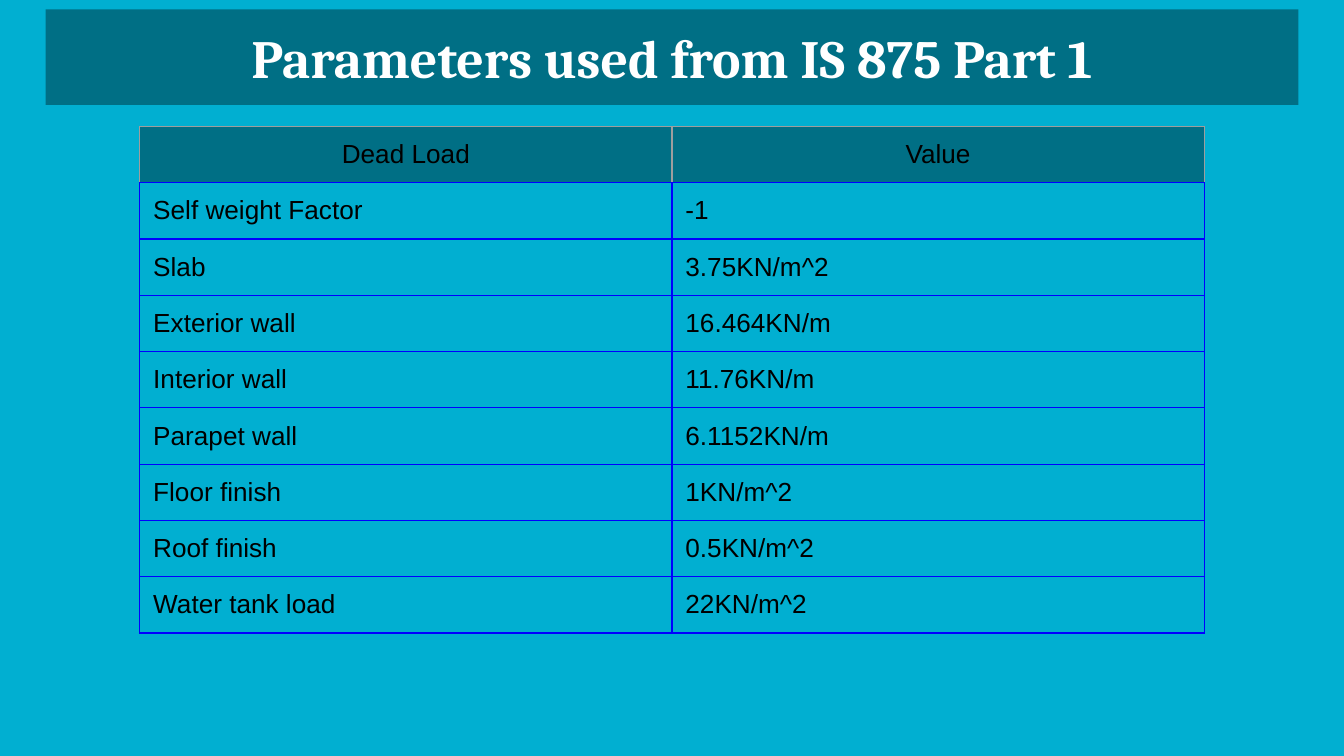
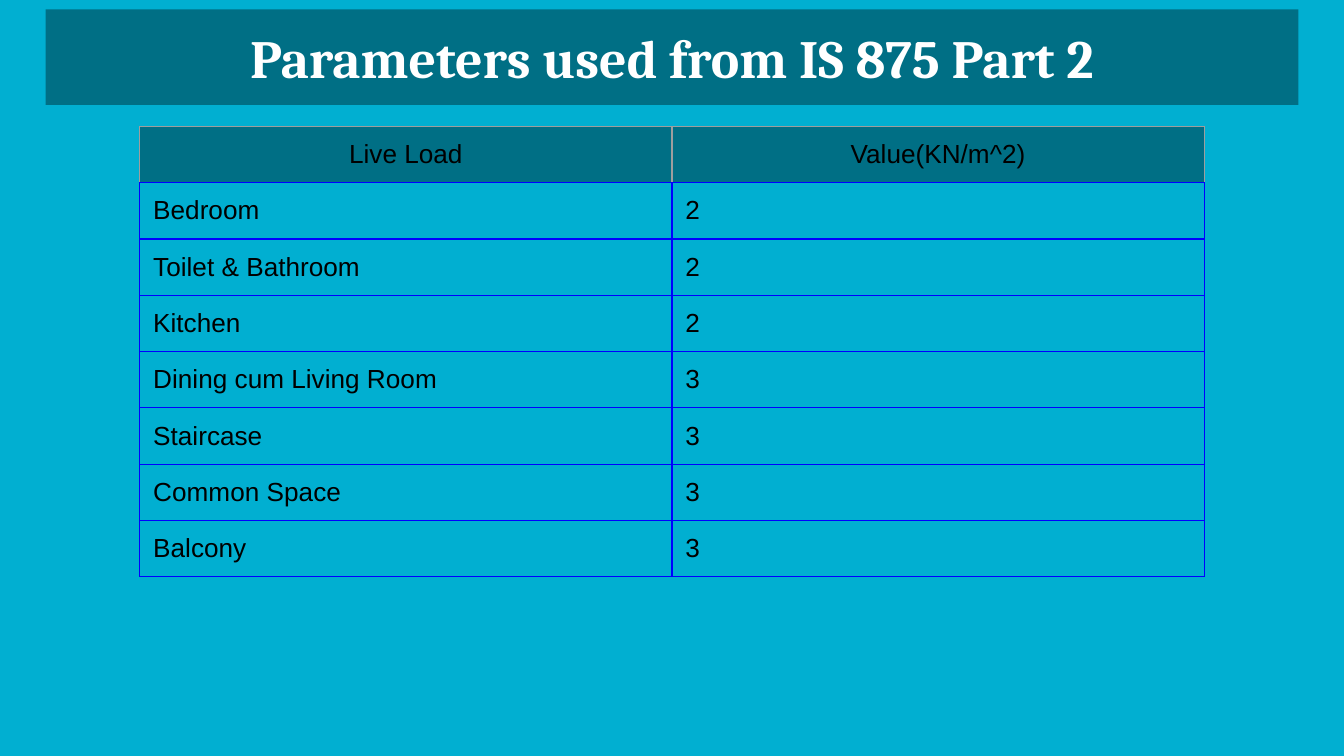
from lxml import etree
from pptx import Presentation
from pptx.dml.color import RGBColor
from pptx.enum.text import MSO_ANCHOR as ANCHOR, MSO_AUTO_SIZE as AUTO, PP_ALIGN as ALIGN
from pptx.oxml.ns import qn
from pptx.util import Inches, Pt

SLIDE_W = Inches(10)
SLIDE_H = SLIDE_W * 9 // 16
GRID = 100
TITLE_ONLY = 5

CYAN = RGBColor(0x01, 0xAF, 0xD1)
TEAL = RGBColor(0x00, 0x6F, 0x85)
WHITE = RGBColor(0xFF, 0xFF, 0xFF)
BLACK = RGBColor(0x00, 0x00, 0x00)
BLUE = RGBColor(0x00, 0x00, 0xFF)
GREY = RGBColor(0x9E, 0x9E, 0x9E)

TITLE_TOP, TITLE_W, TITLE_H = 0.7, 93.2, 7.1
TABLE_TOP, COLUMN_W, ROW_H = 9.4, 39.6, 4.17

DEAD_LOADS = [
    ("Dead Load", "Value"),
    ("Self weight Factor", "-1"),
    ("Slab", "3.75KN/m^2"),
    ("Exterior wall", "16.464KN/m"),
    ("Interior wall", "11.76KN/m"),
    ("Parapet wall", "6.1152KN/m"),
    ("Floor finish", "1KN/m^2"),
    ("Roof finish", "0.5KN/m^2"),
    ("Water tank load", "22KN/m^2"),
]
LIVE_LOADS = [
    ("Live Load", "Value(KN/m^2)"),
    ("Bedroom", "2"),
    ("Toilet & Bathroom", "2"),
    ("Kitchen", "2"),
    ("Dining cum Living Room", "3"),
    ("Staircase", "3"),
    ("Common Space", "3"),
    ("Balcony", "3"),
]


def grid(units):
    return round(SLIDE_W * units / GRID)


def centred(width):
    return grid((GRID - width) / 2)


def set_text(tf, text, *, font="Arial", size=14, color=BLACK, bold=False, align=ALIGN.LEFT):
    p = tf.paragraphs[0]
    p.alignment = align
    r = p.add_run()
    r.text = text
    r.font.name = font
    r.font.size = Pt(size)
    r.font.bold = bold
    r.font.color.rgb = color


def set_margins(box):
    box.margin_left = box.margin_right = box.margin_top = box.margin_bottom = Inches(0.1)


def add_title(slide, text):
    sp = slide.shapes.title
    sp.left, sp.top = centred(TITLE_W), grid(TITLE_TOP)
    sp.width, sp.height = grid(TITLE_W), grid(TITLE_H)
    sp.fill.solid()
    sp.fill.fore_color.rgb = TEAL
    tf = sp.text_frame
    tf.word_wrap = True
    tf.auto_size = AUTO.NONE
    tf.vertical_anchor = ANCHOR.MIDDLE
    set_margins(tf)
    set_text(tf, text, font="Cambria", size=28.8, color=WHITE, bold=True, align=ALIGN.CENTER)


def set_borders(cell, **colors):
    tc_pr = cell._tc.get_or_add_tcPr()
    for i, side in enumerate("LRTB"):
        ln = etree.Element(qn(f"a:ln{side}"), w=str(Pt(0.75)))
        fill = etree.SubElement(ln, qn("a:solidFill"))
        etree.SubElement(fill, qn("a:srgbClr"), val=str(colors.get(side, BLUE)))
        tc_pr.insert(i, ln)


def format_header(cell, text):
    cell.fill.solid()
    cell.fill.fore_color.rgb = TEAL
    set_borders(cell, L=GREY, R=GREY, T=GREY)
    set_text(cell.text_frame, text, align=ALIGN.CENTER)


def format_body(cell, text):
    cell.fill.background()
    set_borders(cell)
    set_text(cell.text_frame, text)


def add_load_table(slide, rows):
    n_rows, n_cols = len(rows), len(rows[0])
    width = n_cols * COLUMN_W
    table = slide.shapes.add_table(
        n_rows, n_cols, centred(width), grid(TABLE_TOP), grid(width), grid(n_rows * ROW_H)
    ).table
    table.first_row = table.horz_banding = False
    for i, row in enumerate(rows):
        for j, text in enumerate(row):
            cell = table.cell(i, j)
            set_margins(cell)
            format_cell = format_body if i else format_header
            format_cell(cell, text)


def add_load_slide(prs, title, rows):
    slide = prs.slides.add_slide(prs.slide_layouts[TITLE_ONLY])
    add_title(slide, title)
    add_load_table(slide, rows)


def main():
    prs = Presentation()
    prs.slide_width, prs.slide_height = SLIDE_W, SLIDE_H
    background = prs.slide_master.background.fill
    background.solid()
    background.fore_color.rgb = CYAN
    for part, rows in enumerate((DEAD_LOADS, LIVE_LOADS), start=1):
        add_load_slide(prs, f"Parameters used from IS 875 Part {part}", rows)
    prs.save("out.pptx")


if __name__ == "__main__":
    main()
